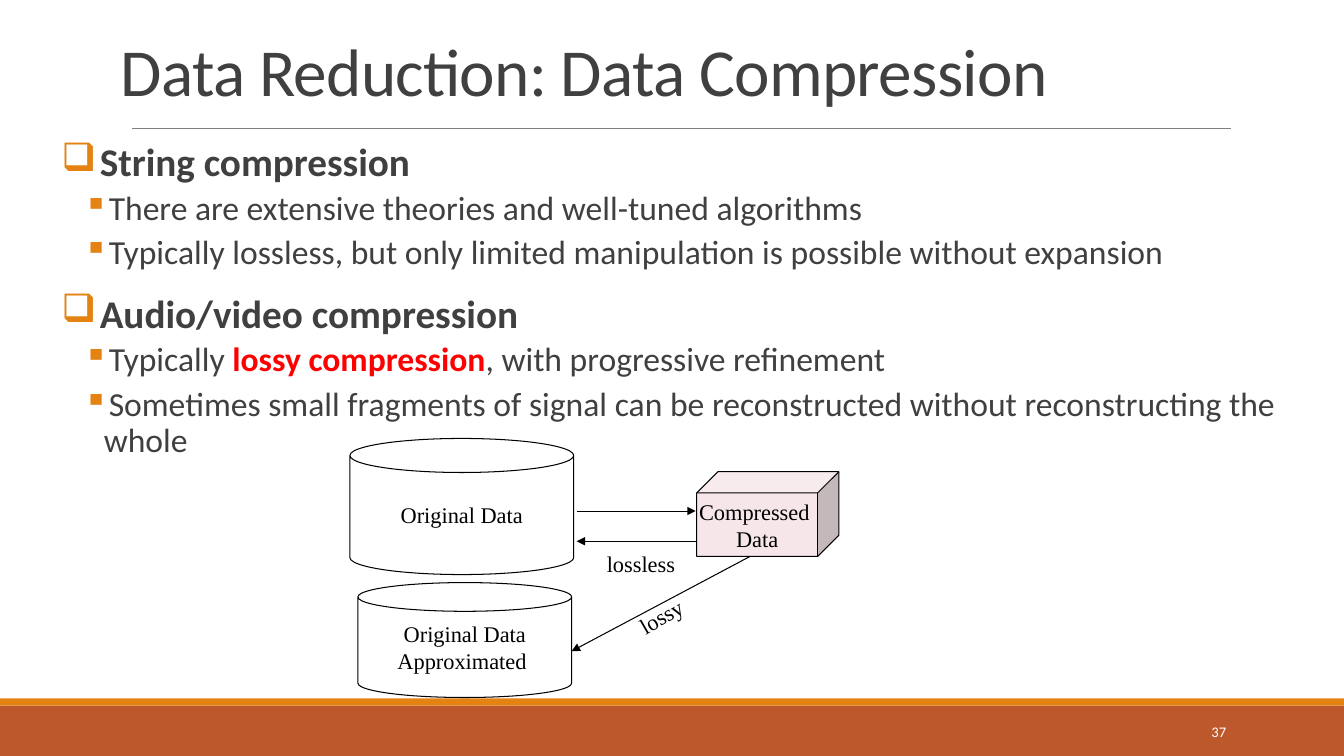
"""Build the slide on data compression."""
from lxml import etree
from pptx import Presentation
from pptx.dml.color import RGBColor
from pptx.enum.shapes import MSO_CONNECTOR, MSO_SHAPE
from pptx.enum.text import MSO_ANCHOR, PP_ALIGN
from pptx.oxml.ns import qn
from pptx.util import Inches, Pt

RECT, CAN, CUBE = MSO_SHAPE.RECTANGLE, MSO_SHAPE.CAN, MSO_SHAPE.CUBE
LINE = MSO_CONNECTOR.STRAIGHT
TOP, MIDDLE, BOTTOM = MSO_ANCHOR.TOP, MSO_ANCHOR.MIDDLE, MSO_ANCHOR.BOTTOM
LEFT, CENTER, RIGHT = PP_ALIGN.LEFT, PP_ALIGN.CENTER, PP_ALIGN.RIGHT
SANS, SERIF = "Calibri", "Times New Roman"
HEX = {"rust": "BD582C", "orange": "E48312", "rule": "808080", "text": "404040",
       "red": "FF0000", "white": "FFFFFF", "black": "000000", "pink": "F6E6EA"}
RGB = {name: RGBColor.from_string(code) for name, code in HEX.items()}

deck = Presentation()
deck.slide_width, deck.slide_height = Inches(13.33), Inches(7.5)
slide = deck.slides.add_slide(deck.slide_layouts[6])
shapes = slide.shapes


def write(shape, lines, size, face, color, align=LEFT, anchor=TOP, wrap=False):
    """Fill a shape with lines in one style."""
    frame = shape.text_frame
    frame.word_wrap = wrap
    frame.vertical_anchor = anchor
    frame.text = "\n".join(lines)
    for para in frame.paragraphs:
        para.alignment = align
        font = para.font
        font.size, font.name, font.color.rgb = Pt(size), face, RGB[color]
    return frame


def link(start, end, color, width):
    """Draw a straight line without a shadow."""
    x1, y1, x2, y2 = (Inches(n) for n in start + end)
    line = shapes.add_connector(LINE, x1, y1, x2, y2)
    line.line.color.rgb, line.line.width = RGB[color], Pt(width)
    etree.SubElement(line._element.spPr, qn("a:effectLst"))
    return line


for top, height, color in [(7, 0.5, "rust"), (6.93, 0.07, "orange")]:
    band = shapes.add_shape(RECT, 0, Inches(top), deck.slide_width, Inches(height))
    band.shadow.inherit = False
    band.fill.solid()
    band.fill.fore_color.rgb = RGB[color]
    band.line.fill.background()
link((1.31, 1.27), (12.21, 1.27), "rule", 0.5)

title = shapes.add_textbox(Inches(1.1), Inches(0.06), Inches(11), Inches(1.08))
frame = write(title, ["Data Reduction: Data Compression"], 48, SANS, "text",
              anchor=BOTTOM, wrap=True)
head = frame.paragraphs[0]
head.line_spacing = 0.85
head.runs[0]._r.get_or_add_rPr().set("spc", "-50")

body = shapes.add_textbox(Inches(0.61), Inches(1.37), Inches(12.21), Inches(5.7))
frame = body.text_frame
frame.word_wrap = True
frame.margin_left = frame.margin_right = 0
points = [
    (0, ["String compression"]),
    (1, ["There are extensive theories and well-tuned algorithms"]),
    (1, ["Typically lossless, but only limited manipulation is possible without expansion"]),
    (0, ["Audio/video compression"]),
    (1, ["Typically ", "lossy compression", ", with progressive refinement"]),
    (1, ["Sometimes small fragments of signal can be reconstructed without "
         "reconstructing the whole"]),
]
styles = [("❑", 0.38, 0.38, 12, 2, 28), ("▪", 0.42, 0.2, 2, 4, 24)]
for i, (level, parts) in enumerate(points):
    mark, left, hang, before, after, size = styles[level]
    para = frame.add_paragraph() if i else frame.paragraphs[0]
    para.level, para.line_spacing, para.space_after = level, 0.9, Pt(after)
    if i:
        para.space_before = Pt(before)
    props = para._p.get_or_add_pPr()
    props.set("marL", str(Inches(left)))
    props.set("indent", str(-Inches(hang)))
    tint = etree.SubElement(props, qn("a:buClr"))
    etree.SubElement(tint, qn("a:srgbClr"), val=HEX["orange"])
    etree.SubElement(props, qn("a:buChar"), char=mark)
    font = para.font
    font.size, font.name, font.color.rgb = Pt(size), SANS, RGB["text"]
    font.bold = level == 0
    for part in parts:
        run = para.add_run()
        run.text = part
        if part == "lossy compression":
            run.font.bold, run.font.color.rgb = True, RGB["red"]

page = shapes.add_textbox(Inches(10.83), Inches(7.06), Inches(1.43), Inches(0.4))
write(page, ["37"], 10.5, SANS, "white", RIGHT, MIDDLE, True)

stores = [
    (CAN, 3.47, 4.35, 2.22, 1.35, "white", ["Original Data"]),
    (CUBE, 6.91, 4.68, 1.41, 0.84, "pink", ["Compressed ", "Data"]),
    (CAN, 3.55, 5.78, 2.12, 1.14, "white", ["Original Data", "Approximated "]),
]
for kind, x, y, w, h, color, lines in stores:
    store = shapes.add_shape(kind, Inches(x), Inches(y), Inches(w), Inches(h))
    store.adjustments[0] = 0.25
    store.shadow.inherit = False
    store.fill.solid()
    store.fill.fore_color.rgb = RGB[color]
    store.line.color.rgb, store.line.width = RGB["black"], Pt(0.75)
    write(store, lines, 16, SERIF, "black", CENTER, MIDDLE)

for start, end in [((5.72, 5.07), (6.9, 5.07)), ((6.9, 5.37), (5.72, 5.37)),
                   ((7.44, 5.52), (5.67, 6.46))]:
    arrow = link(start, end, "black", 0.75)
    etree.SubElement(arrow.line._get_or_add_ln(), qn("a:tailEnd"), type="triangle")

for word, x, y, w, turn in [("lossless", 5.92, 5.41, 0.89, 0),
                            ("lossy", 6.23, 5.93, 0.66, 330)]:
    label = shapes.add_textbox(Inches(x), Inches(y), Inches(w), Inches(0.37))
    label.rotation = turn
    write(label, [word], 16, SERIF, "black")

deck.save("out.pptx")
